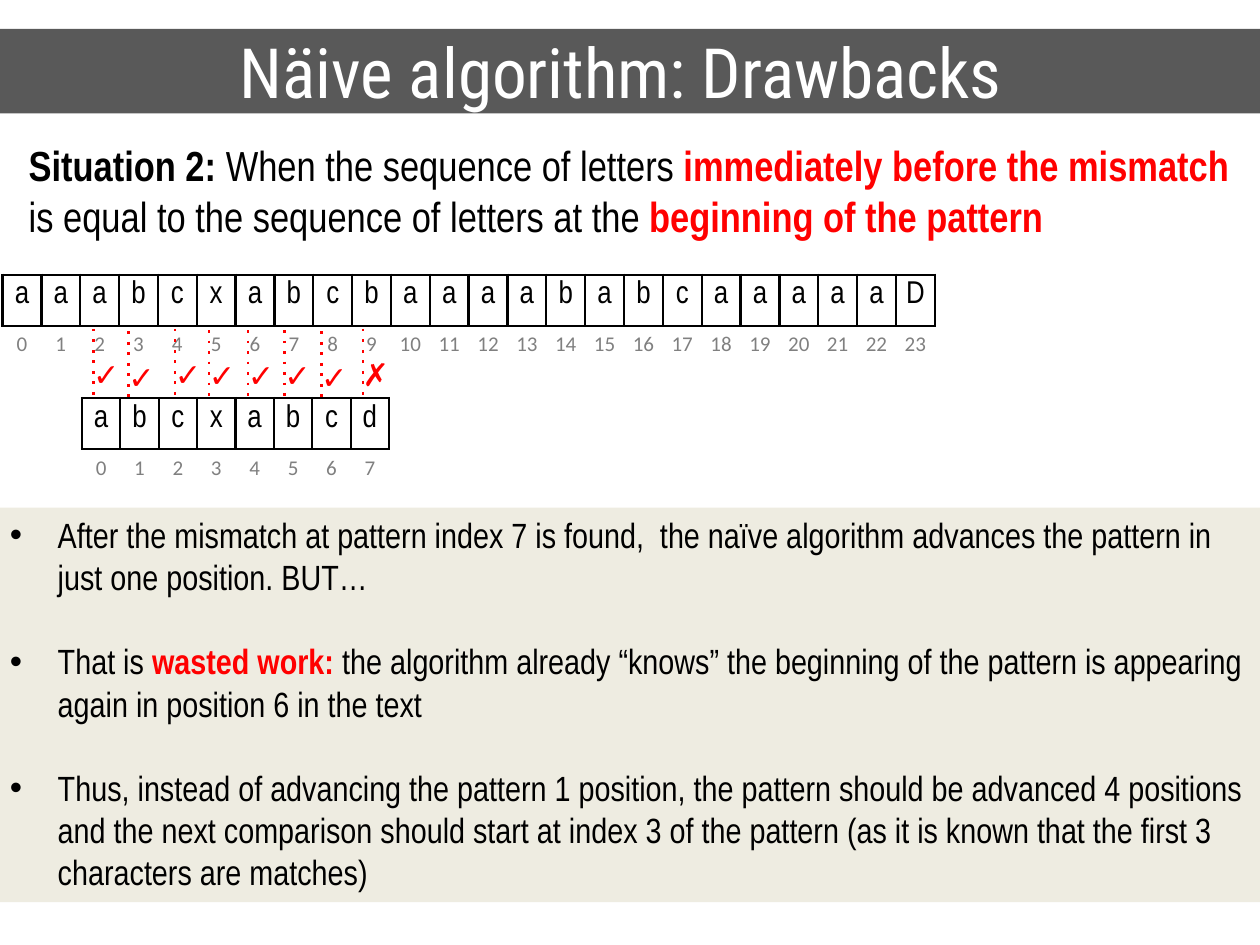
from pptx import Presentation
from pptx.dml.color import RGBColor
from pptx.enum.shapes import MSO_CONNECTOR, MSO_SHAPE
from pptx.enum.text import MSO_ANCHOR, PP_ALIGN
from pptx.oxml.ns import qn
from pptx.util import Inches, Pt
from lxml.etree import SubElement

BODY_FONT = "Arial Narrow"
BLACK, RED, GREY, WHITE = "000000", "FF0000", "808080", "FFFFFF"
BAND, PANEL = "595959", "EEECE1"
TEXT = "aaabcxabcbaaaababcaaaaaD"
PATTERN = "abcxabcd"
MARKS = [
    ("✓", 0.74, 2.61), ("✓", 1.02, 2.63), ("✓", 1.39, 2.61), ("✓", 1.66, 2.62),
    ("✓", 1.97, 2.62), ("✓", 2.26, 2.62), ("✓", 2.55, 2.63), ("✗", 2.88, 2.61),
]
SITUATION = [
    ("Situation 2: ", BLACK, True),
    ("When the sequence of letters ", BLACK, False),
    ("immediately before the mismatch ", RED, True),
    ("is equal to the sequence of letters at the ", BLACK, False),
    ("beginning of the pattern", RED, True),
]
POINTS = [
    [("After the mismatch at pattern index 7 is found,  the naïve algorithm "
      "advances the pattern in just one position. BUT…", BLACK, False)],
    [("That is ", BLACK, False),
     ("wasted work: ", RED, True),
     ("the algorithm already “knows” the beginning of the pattern is "
      "appearing again in position 6 in the text", BLACK, False)],
    [("Thus, instead of advancing the pattern 1 position, the pattern should be "
      "advanced 4 positions and the next comparison should start at index 3 of the "
      "pattern (as it is known that the first 3 characters are matches)", BLACK, False)],
]


def rgb(color):
    return RGBColor.from_string(color)


def inches(box):
    return [Inches(v) for v in box]


def add_text(p, text, size=18, font=BODY_FONT, color=BLACK, bold=False, align=None):
    r = p.add_run()
    r.text = text
    r.font.size = Pt(size)
    r.font.name = font
    r.font.bold = bold
    r.font.color.rgb = rgb(color)
    if align is not None:
        p.alignment = align


def add_band(s, box, color, anchor):
    sp = s.shapes.add_shape(MSO_SHAPE.RECTANGLE, *inches(box))
    sp.shadow.inherit = False
    sp.fill.solid()
    sp.fill.fore_color.rgb = rgb(color)
    sp.line.fill.background()
    tf = sp.text_frame
    tf.word_wrap = True
    tf.vertical_anchor = anchor
    return tf


def add_title(s, box):
    tf = add_band(s, box, BAND, MSO_ANCHOR.MIDDLE)
    add_text(tf.paragraphs[0], "Näive algorithm: Drawbacks ", size=39.6,
             font="Roboto Condensed", color=WHITE, align=PP_ALIGN.CENTER)


def add_situation(s, box):
    tf = s.shapes.add_textbox(*inches(box)).text_frame
    tf.word_wrap = True
    for text, color, bold in SITUATION:
        add_text(tf.paragraphs[0], text, size=24, color=color, bold=bold)


def set_borders(cell, sides):
    tc_pr = cell._tc.get_or_add_tcPr()
    for side in "LRTB":
        ln = SubElement(tc_pr, qn(f"a:ln{side}"), w=str(Pt(1.5)))
        if side in sides:
            fill = SubElement(ln, qn("a:solidFill"))
            SubElement(fill, qn("a:srgbClr"), val=BLACK)
        else:
            SubElement(ln, qn("a:noFill"))


def fill_cell(cell, text, sides, **style):
    cell.margin_left = cell.margin_right = Inches(0.04)
    cell.margin_top = cell.margin_bottom = Inches(0.05)
    set_borders(cell, sides)
    cell.fill.background()
    add_text(cell.text_frame.paragraphs[0], text, align=PP_ALIGN.CENTER, **style)


def add_indexed_string(s, box, letters):
    table = s.shapes.add_table(2, len(letters), *inches(box)).table
    table.first_row = table.horz_banding = False
    for row in table.rows:
        row.height = Inches(box[3] / 2)
    for i, letter in enumerate(letters):
        table.columns[i].width = Inches(box[2] / len(letters))
        fill_cell(table.cell(0, i), letter, "LRTB")
        fill_cell(table.cell(1, i), str(i), "T", size=12, font="Calibri", color=GREY)


def add_mark(s, box, symbol):
    x, y, width, height = box
    group = s.shapes.add_group_shape()
    tf = group.shapes.add_textbox(*inches((x - 0.1, y + 0.16, width, 0.4))).text_frame
    tf.word_wrap = False
    add_text(tf.paragraphs[0], symbol, font="Arial", color=RED)
    line = group.shapes.add_connector(MSO_CONNECTOR.STRAIGHT, *inches((x, y, x, y + height)))
    line.line.color.rgb = rgb(RED)
    line.line.width = Pt(1.5)
    SubElement(line.line._get_or_add_ln(), qn("a:prstDash"), val="dot")
    SubElement(line._element.spPr, qn("a:effectLst"))


def add_points(s, box):
    tf = add_band(s, box, PANEL, MSO_ANCHOR.TOP)
    for i, runs in enumerate(POINTS):
        p = tf.add_paragraph() if i else tf.paragraphs[0]
        p.alignment = PP_ALIGN.LEFT
        p.space_before = Pt(24 if i else 0)
        p_pr = p._p.get_or_add_pPr()
        p_pr.set("marL", str(Inches(0.38)))
        p_pr.set("indent", str(Inches(-0.38)))
        SubElement(p_pr, qn("a:buFont"), typeface="Arial")
        SubElement(p_pr, qn("a:buChar"), char="•")
        for text, color, bold in runs:
            add_text(p, text, size=20, color=color, bold=bold)


def main():
    prs = Presentation()
    prs.slide_width, prs.slide_height = Inches(10), Inches(7.5)
    s = prs.slides.add_slide(prs.slide_layouts[6])
    add_title(s, (-0.02, 0.23, 10.02, 0.67))
    add_indexed_string(s, (0.02, 2.18, 7.4, 0.81), TEXT)
    add_indexed_string(s, (0.65, 3.16, 2.44, 0.81), PATTERN)
    add_situation(s, (0.13, 1.06, 9.87, 0.91))
    for symbol, x, y in MARKS:
        add_mark(s, (x, y, 0.4, 0.54), symbol)
    add_points(s, (-0.02, 4.03, 10.02, 3.13))
    prs.save("out.pptx")


if __name__ == "__main__":
    main()
